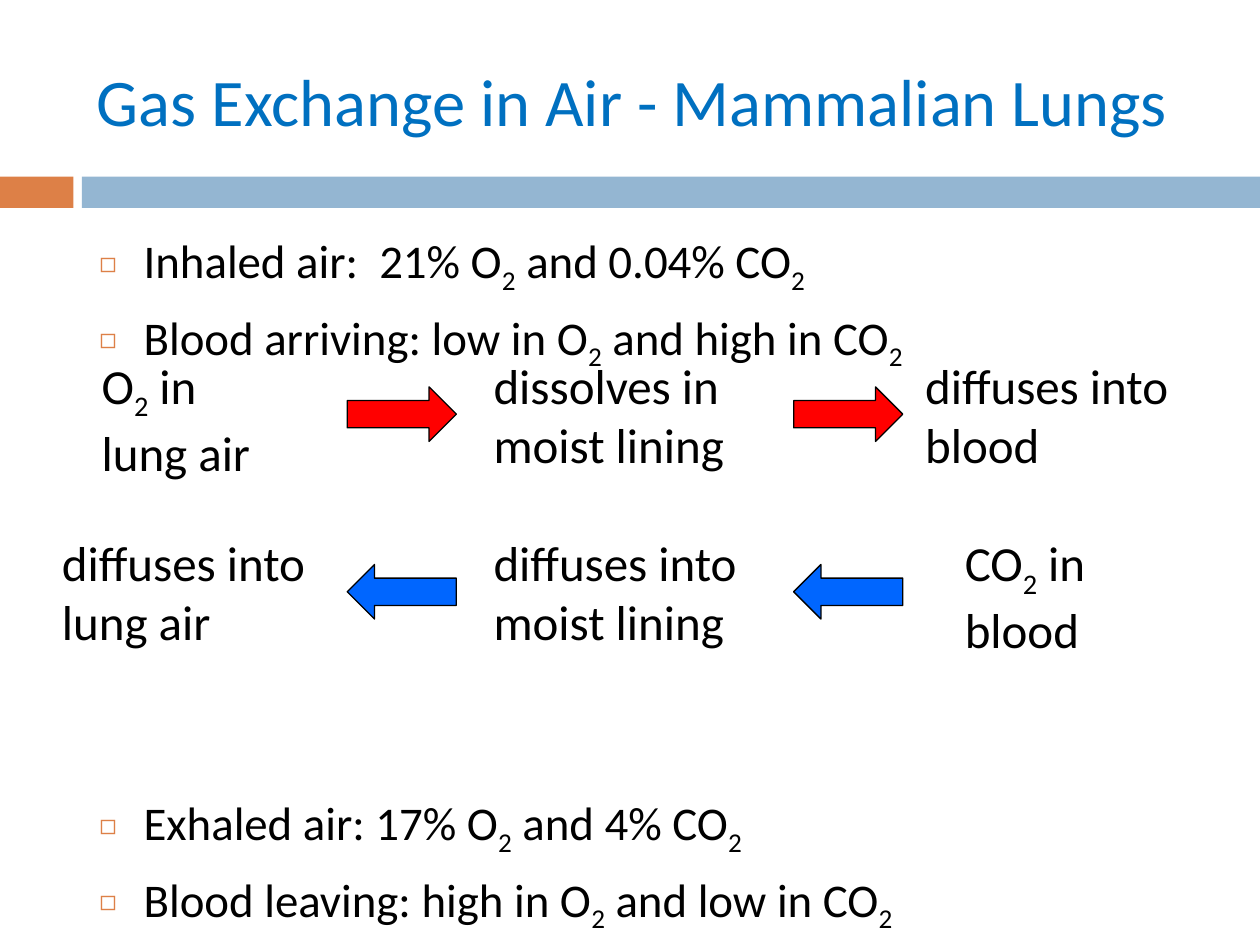
import pptx
import pptx.util
import pptx.dml.color
import pptx.enum.shapes
import pptx.enum.text
import lxml.etree

Cm = pptx.util.Cm
Pt = pptx.util.Pt
RGB = pptx.dml.color.RGBColor
Kind = pptx.enum.shapes.MSO_SHAPE
Fit = pptx.enum.text.MSO_AUTO_SIZE

BLACK = RGB(0x00, 0x00, 0x00)
TITLE = RGB(0x00, 0x70, 0xC0)
RUST = RGB(0xDD, 0x80, 0x47)
SKY = RGB(0x94, 0xB6, 0xD2)
RED = RGB(0xFF, 0x00, 0x00)
BLUE = RGB(0x00, 0x66, 0xFF)
FONT = "Calibri"


def write(para, text, size, color=BLACK):
    """Fill a paragraph, setting each ₂ as a lowered 2."""
    para.font.name = FONT
    para.font.size = Pt(size)
    para.font.color.rgb = color
    for row, line in enumerate(text.split("\n")):
        if row:
            para.add_line_break()
        for i, part in enumerate(line.split("₂")):
            if i:
                low = para.add_run()
                low.text = "2"
                low.font._element.set("baseline", "-25000")
            if part:
                para.add_run().text = part


def draw(kind, left, top, width, height, color):
    """Add a filled shape without shadow or line."""
    shape = slide.shapes.add_shape(kind, Cm(left), Cm(top), Cm(width), Cm(height))
    shape.shadow.inherit = False
    shape.fill.solid()
    shape.fill.fore_color.rgb = color
    shape.line.fill.background()
    return shape


deck = pptx.Presentation()
deck.slide_width, deck.slide_height = Cm(25.4), Cm(19.05)
slide = deck.slides.add_slide(deck.slide_layouts[1])

# Bars under the title
draw(Kind.RECTANGLE, 0, 3.56, 1.48, 0.63, RUST)
draw(Kind.RECTANGLE, 1.65, 3.56, 23.75, 0.63, SKY)

# Title
title = slide.shapes.title
title.left, title.top, title.width, title.height = Cm(1.7), Cm(0.64), Cm(23), Cm(2.74)
frame = title.text_frame
frame.auto_size = Fit.NONE
frame.vertical_anchor = pptx.enum.text.MSO_ANCHOR.MIDDLE
head = frame.paragraphs[0]
head.alignment = pptx.enum.text.PP_ALIGN.LEFT
write(head, "Gas Exchange in Air - Mammalian Lungs", 38, TITLE)

# Bullets, with a wide gap in the middle for the diagram
body = slide.placeholders[1]
body.left, body.top, body.width, body.height = Cm(1.75), Cm(4.55), Cm(22.66), Cm(13.87)
frame = body.text_frame
frame.auto_size = Fit.NONE
points = [
    ("Inhaled air:  21% O₂ and 0.04% CO₂", 0),
    ("Blood arriving: low in O₂ and high in CO₂", 7),
    ("Exhaled air: 17% O₂ and 4% CO₂", 241),
    ("Blood leaving: high in O₂ and low in CO₂", 7),
]
for i, (text, gap) in enumerate(points):
    para = frame.add_paragraph() if i else frame.paragraphs[0]
    para.space_before = Pt(gap)
    props = para._p.get_or_add_pPr()
    props.set("marL", str(Cm(0.89)))
    props.set("indent", str(-Cm(0.89)))
    tint = lxml.etree.SubElement(props, pptx.oxml.ns.qn("a:buClr"))
    lxml.etree.SubElement(tint, pptx.oxml.ns.qn("a:srgbClr"), val=str(RUST))
    lxml.etree.SubElement(props, pptx.oxml.ns.qn("a:buSzPct"), val="60000")
    lxml.etree.SubElement(props, pptx.oxml.ns.qn("a:buChar"), char="◻")
    write(para, text, 26.8)

# Diagram: oxygen goes right, carbon dioxide goes left
NARROW, WIDE = 4.5, 6.1
flows = [
    (7.04, Kind.RIGHT_ARROW, RED, [
        (1.8, NARROW, "O₂ in\nlung air"),
        (9.7, WIDE, "dissolves in moist lining"),
        (18.4, WIDE, "diffuses into blood"),
    ]),
    (10.62, Kind.LEFT_ARROW, BLUE, [
        (1, WIDE, "diffuses into lung air"),
        (9.7, WIDE, "diffuses into moist lining"),
        (19.2, NARROW, "CO₂ in\nblood"),
    ]),
]
for top, kind, color, steps in flows:
    for left, width, text in steps:
        box = slide.shapes.add_textbox(Cm(left), Cm(top), Cm(width), Cm(2.62))
        box.text_frame.word_wrap = True
        write(box.text_frame.paragraphs[0], text, 28)
    for left in (7, 16):
        arrow = draw(kind, left, top + 0.76, 2.2, 1.1, color)
        arrow.line.color.rgb = BLACK
        arrow.line.width = Pt(0.75)

deck.save("out.pptx")
